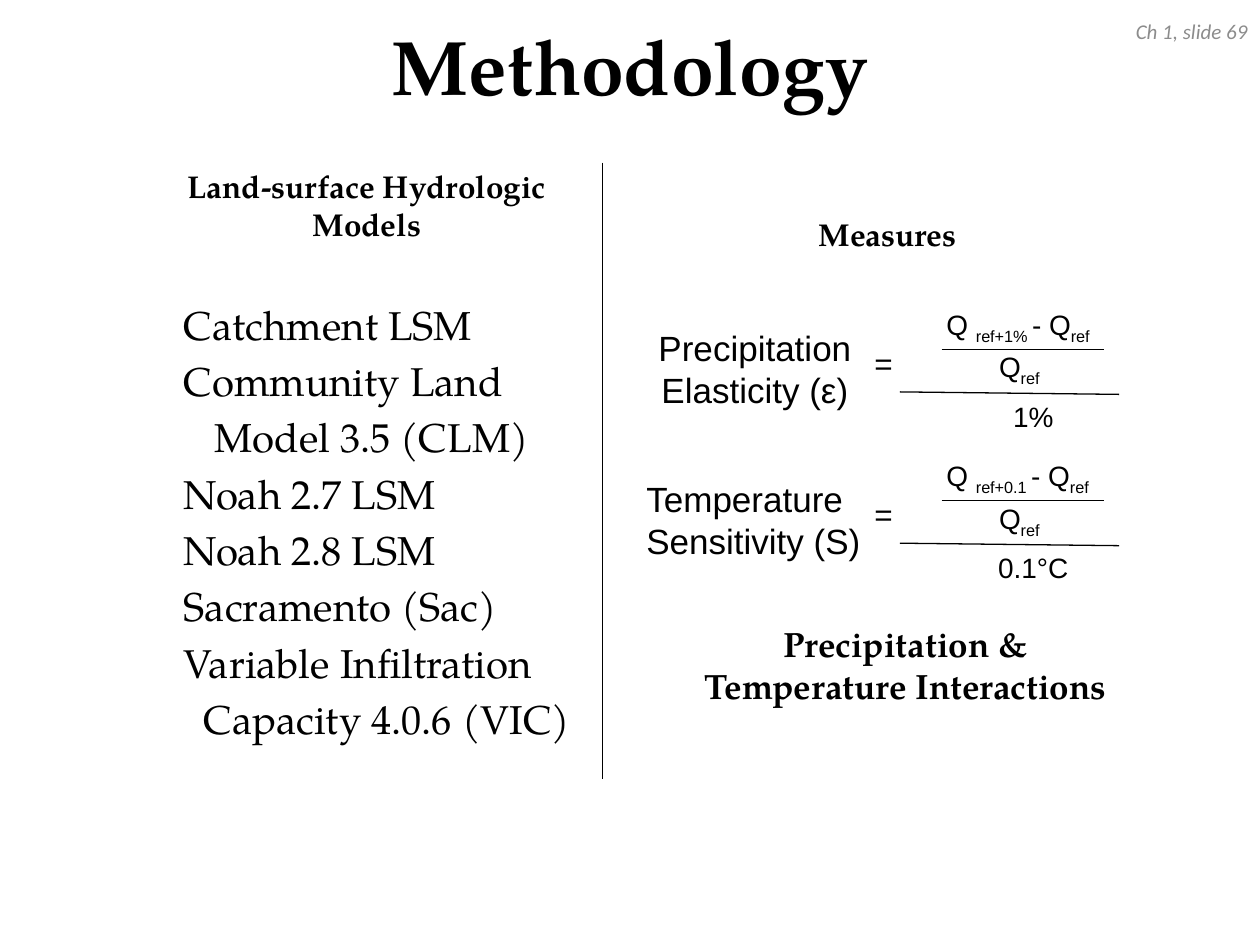
from lxml.etree import SubElement
from pptx import Presentation
from pptx.dml.color import RGBColor
from pptx.enum.shapes import MSO_CONNECTOR
from pptx.enum.text import MSO_ANCHOR, MSO_AUTO_SIZE, PP_ALIGN
from pptx.oxml.ns import qn
from pptx.util import Cm, Pt

BLACK = RGBColor(0x00, 0x00, 0x00)
GRAY = RGBColor(0x8C, 0x8C, 0x8C)
SERIF, SANS, NOTE = "TeX Gyre Pagella", "Arial", "Calibri"
LEFT, CENTER, RIGHT = PP_ALIGN.LEFT, PP_ALIGN.CENTER, PP_ALIGN.RIGHT
MODELS = [
    ("Catchment LSM", 0),
    ("Community Land", 0),
    ("Model 3.5 (CLM)", 0.62),
    ("Noah 2.7 LSM", 0),
    ("Noah 2.8 LSM", 0),
    ("Sacramento (Sac)", 0),
    ("Variable Infiltration", 0),
    ("Capacity 4.0.6 (VIC)", 0.4),
]


def style(font, size, name, color=BLACK, bold=False, italic=False):
    """Format one font."""
    font.size, font.name = Pt(size), name
    font.bold, font.italic = bold, italic
    font.color.rgb = color


def place(sp, left, top, width, height):
    """Move and size a shape, in centimetres."""
    sp.left, sp.top, sp.width, sp.height = map(Cm, (left, top, width, height))


def add_text(shapes, box, lines, size, name, aligns=(CENTER,), wrap=True, **look):
    """Add a text box with one paragraph per line."""
    sp = shapes.add_textbox(*map(Cm, box))
    tf = sp.text_frame
    tf.word_wrap = wrap
    tf.text = "\n".join(lines)
    for i, p in enumerate(tf.paragraphs):
        p.alignment = aligns[i % len(aligns)]
        for r in p.runs:
            style(r.font, size, name, **look)
    return sp


def add_line(shapes, x1, y1, x2, y2):
    """Add a thin black line without a shadow."""
    ln = shapes.add_connector(MSO_CONNECTOR.STRAIGHT, *map(Cm, (x1, y1, x2, y2)))
    ln.line.color.rgb = BLACK
    ln.line.width = Pt(0.75)
    SubElement(ln._element.spPr, qn("a:effectLst"))


def add_terms(shapes, box, terms):
    """Add a formula whose terms alternate between normal and subscript."""
    p = add_text(shapes, box, [""], 16, SANS, aligns=(LEFT,), wrap=False).text_frame.paragraphs[0]
    for i, term in enumerate(terms):
        r = p.add_run()
        r.text = term
        style(r.font, 16, SANS)
        if i % 2:
            r._r.get_or_add_rPr().set("baseline", "-25000")


def add_header(slide, width):
    """Place the title and the chapter label across the top."""
    title = slide.shapes.title
    place(title, 0, 0, width, 2.62)
    title.text_frame.text = "Methodology"
    title.text_frame.vertical_anchor = MSO_ANCHOR.MIDDLE
    p = title.text_frame.paragraphs[0]
    p.alignment = CENTER
    style(p.runs[0].font, 44, SERIF, bold=True)
    sp = add_text(slide.shapes, (width - 5.28, 0, 5.28, 1.27), ["Ch 1, slide 69"], 12, NOTE,
                  aligns=(RIGHT,), color=GRAY, italic=True)
    sp.text_frame.vertical_anchor = MSO_ANCHOR.MIDDLE


def add_models(slide, left, top):
    """Place the heading and the list of models."""
    add_text(slide.shapes, (left, top, 8.79, 2.31), ["Land-surface Hydrologic Models"],
             18, SERIF, bold=True)
    body = slide.placeholders[1]
    place(body, left + 0.45, top + 2.67, 8.71, 11.86)
    tf = body.text_frame
    tf.auto_size = MSO_AUTO_SIZE.NONE
    tf.text = "\n".join(name for name, _ in MODELS)
    for i, (p, (_, indent)) in enumerate(zip(tf.paragraphs, MODELS)):
        pPr = p._p.get_or_add_pPr()
        pPr.set("marL", str(Cm(indent)))
        pPr.set("indent", "0")
        SubElement(pPr, qn("a:buNone"))
        p.space_before = Pt(4.6 if i else 0)
        style(p.runs[0].font, 23, SERIF)


def add_equation(slide, left, top, label, aligns, change, step):
    """Place one grouped equation: label, equals sign and nested fraction."""
    shapes = slide.shapes.add_group_shape().shapes
    add_text(shapes, (left, top + 0.39, 4.88, 1.96), label, 20, SANS, aligns, wrap=False)
    add_text(shapes, (left + 4.52, top + 0.74, 1.02, 1.3), ["="], 18, SANS, wrap=False)
    add_terms(shapes, (left + 6.05, top, 3.7, 0.94), ["Q ", change + " ", "- Q", "ref"])
    add_line(shapes, left + 6.2, top + 0.97, left + 9.47, top + 0.97)
    add_terms(shapes, (left + 7.11, top + 0.86, 1.47, 0.94), ["Q", "ref"])
    add_line(shapes, left + 5.36, top + 1.83, left + 9.78, top + 1.88)
    add_text(shapes, (left + 6.85, top + 1.85, 2.4, 0.94), [step], 16, SANS, wrap=False)


def add_measures(slide, left, top):
    """Place the heading, the two equations and the closing remark."""
    add_text(slide.shapes, (left + 1.14, top, 7.95, 1.27), ["Measures"], 18, SERIF, bold=True)
    equations = [
        (["Precipitation", "Elasticity (ε)"], (CENTER,), "ref+1%", "1%"),
        (["Temperature", "Sensitivity (S)"], (LEFT, CENTER), "ref+0.1", "0.1°C"),
    ]
    for i, equation in enumerate(equations):
        add_equation(slide, left, top + 1.85 + 3.05 * i, *equation)
    add_text(slide.shapes, (left + 1.12, top + 8.2, 8.71, 2.82),
             ["Precipitation & Temperature Interactions"], 20, SERIF, bold=True)


def main():
    """Build the slide and save it."""
    prs = Presentation()
    prs.slide_width, prs.slide_height = Cm(25.4), Cm(19.05)
    slide = prs.slides.add_slide(prs.slide_layouts[1])
    add_header(slide, 25.4)
    add_models(slide, 3, 3.25)
    add_line(slide.shapes, 12.14, 3.28, 12.14, 15.7)
    add_measures(slide, 12.78, 4.22)
    prs.save("out.pptx")


if __name__ == "__main__":
    main()
